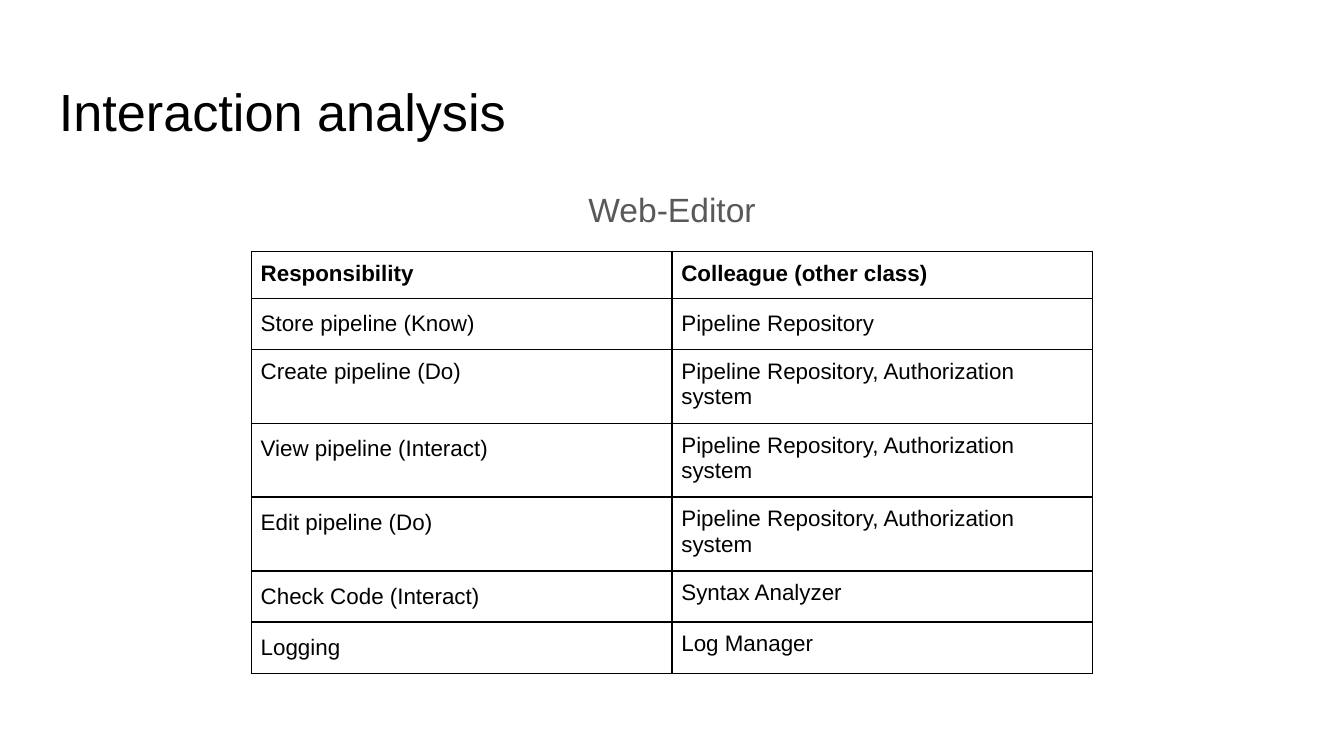
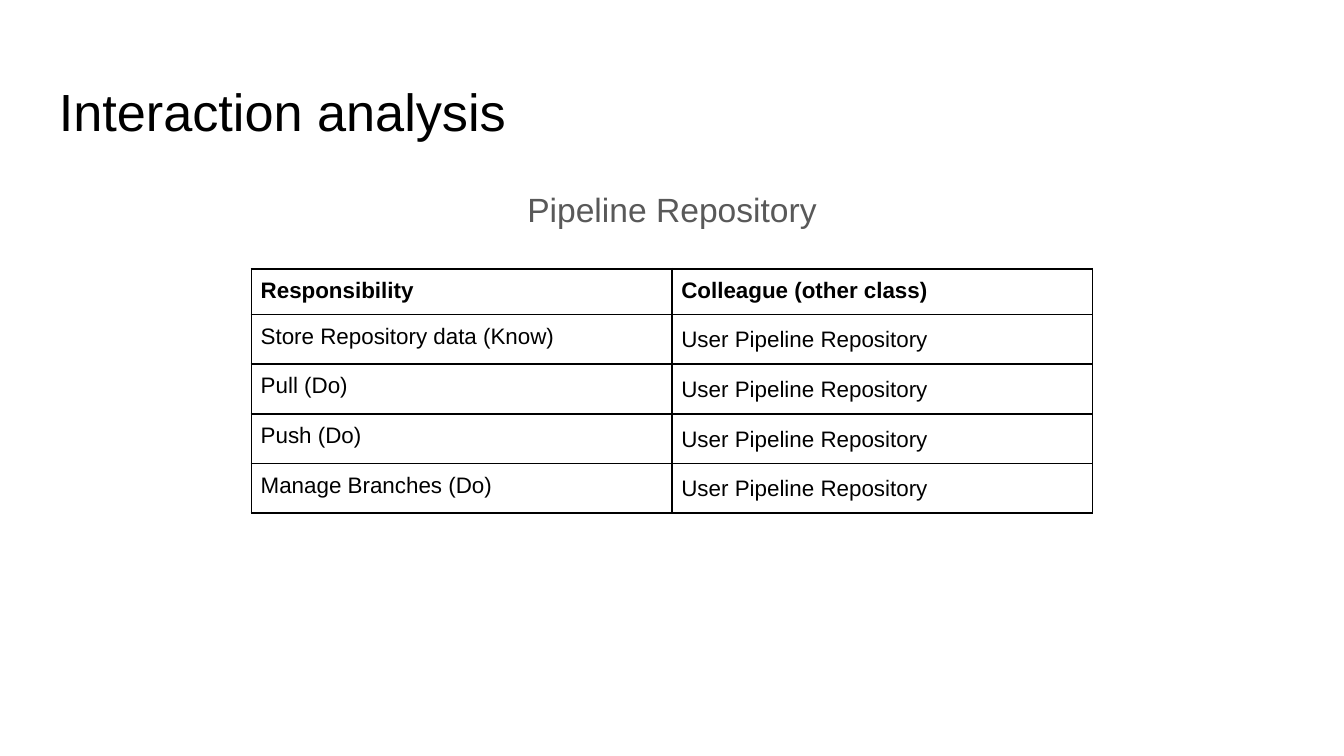
from dataclasses import dataclass

import pptx
import pptx.dml.color
import pptx.enum.text
import pptx.oxml
import pptx.oxml.ns
import pptx.util

Inches = pptx.util.Inches
Pt = pptx.util.Pt
ALIGN = pptx.enum.text.PP_ALIGN

# Shared look
FONT = "Arial"
BLACK, GREY = "000000", "595959"
TITLE = "Interaction analysis"
HEADER = ("Responsibility", "Colleague (other class)")
MARGIN, TEXT_W = 0.34, 9.32
TABLE_LEFT, COL_W, FRAME = 1.87, 3.13, 3.28
TEXT_PAD, CELL_PAD = 0.1, 0.07
SINGLE, LOOSE = 1.0, 1.15
FIT = 0.01  # rows this low grow to fit their text


@dataclass(frozen=True)
class TextStyle:
    size: float
    color: str = BLACK
    bold: bool = False
    align: ALIGN = ALIGN.LEFT


@dataclass(frozen=True)
class Row:
    texts: tuple[str, str]
    height: float
    spacings: tuple[float, float]


@dataclass(frozen=True)
class ClassCard:
    name: str
    table_top: float
    header_height: float
    rows: tuple[Row, ...]
    name_space_after: float = 0


TITLE_STYLE = TextStyle(28)
SUBTITLE_STYLE = TextStyle(18, GREY, align=ALIGN.CENTER)
HEADER_STYLE = TextStyle(12, bold=True)
CELL_STYLE = TextStyle(12)

BOTH_SYSTEMS = "Pipeline Repository, Authorization system"
CARDS = (
    ClassCard("Web-Editor", 1.87, 0.35, (
        Row(("Store pipeline (Know)", "Pipeline Repository"), 0.38, (LOOSE, LOOSE)),
        Row(("Create pipeline (Do)", BOTH_SYSTEMS), 0.55, (SINGLE, SINGLE)),
        Row(("View pipeline (Interact)", BOTH_SYSTEMS), 0.55, (LOOSE, SINGLE)),
        Row(("Edit pipeline (Do)", BOTH_SYSTEMS), 0.55, (LOOSE, SINGLE)),
        Row(("Check Code (Interact)", "Syntax Analyzer"), 0.38, (LOOSE, SINGLE)),
        Row(("Logging", "Log Manager"), 0.38, (LOOSE, SINGLE)),
    )),
    ClassCard("Pipeline Repository", 2.0, FIT, tuple(
        Row((duty, "User Pipeline Repository"), FIT, (SINGLE, LOOSE))
        for duty in ("Store Repository data (Know)", "Pull (Do)",
                     "Push (Do)", "Manage Branches (Do)")
    ), name_space_after=12),
)


def rgb(color: str) -> pptx.dml.color.RGBColor:
    return pptx.dml.color.RGBColor.from_string(color)


def set_margins(target, pad: float) -> None:
    for side in ("left", "top", "right", "bottom"):
        setattr(target, f"margin_{side}", Inches(pad))


def write(tf, text: str, style: TextStyle, spacing: float = SINGLE,
          space_after: float = 0) -> None:
    p = tf.paragraphs[0]
    layout = {"alignment": style.align, "line_spacing": spacing,
              "space_after": Pt(space_after)}
    for key, value in layout.items():
        setattr(p, key, value)
    r = p.add_run()
    r.text = text
    formats = {"name": FONT, "size": Pt(style.size), "bold": style.bold}
    for key, value in formats.items():
        setattr(r.font, key, value)
    r.font.color.rgb = rgb(style.color)


def add_text(slide, top: float, height: float, text: str, style: TextStyle,
             spacing: float = SINGLE, space_after: float = 0) -> None:
    sp = slide.shapes.add_textbox(Inches(MARGIN), Inches(top),
                                  Inches(TEXT_W), Inches(height))
    tf = sp.text_frame
    tf.word_wrap = True
    set_margins(tf, TEXT_PAD)
    write(tf, text, style, spacing, space_after)


def add_borders(cell, color: str = BLACK, width: float = 1) -> None:
    # Border lines come before the fill in the cell properties
    tc_pr = cell._tc.get_or_add_tcPr()
    for i, side in enumerate("LRTB"):
        tc_pr.insert(i, pptx.oxml.parse_xml(
            f'<a:ln{side} {pptx.oxml.ns.nsdecls("a")} w="{Pt(width)}">'
            f'<a:solidFill><a:srgbClr val="{color}"/></a:solidFill>'
            f'</a:ln{side}>'))


def add_card_table(slide, card: ClassCard) -> None:
    rows = (Row(HEADER, card.header_height, (SINGLE, SINGLE)), *card.rows)
    sp = slide.shapes.add_table(
        len(rows), len(HEADER), Inches(TABLE_LEFT), Inches(card.table_top),
        Inches(FRAME), Inches(FRAME))
    table = sp.table
    table.first_row = table.horz_banding = False
    for column in table.columns:
        column.width = Inches(COL_W)
    for i, row in enumerate(rows):
        table.rows[i].height = Inches(row.height)
        style = CELL_STYLE if i else HEADER_STYLE
        for j, (text, spacing) in enumerate(zip(row.texts, row.spacings)):
            cell = table.cell(i, j)
            set_margins(cell, CELL_PAD)
            cell.fill.background()
            add_borders(cell)
            write(cell.text_frame, text, style, spacing)
    # Sizing rows and columns resizes the frame, so it is set last
    sp.width = sp.height = Inches(FRAME)


def add_card_slide(prs, card: ClassCard) -> None:
    slide = prs.slides.add_slide(prs.slide_layouts[6])
    add_text(slide, 0.49, 0.63, TITLE, TITLE_STYLE)
    add_text(slide, 1.26, 0.5, card.name, SUBTITLE_STYLE, LOOSE,
             card.name_space_after)
    add_card_table(slide, card)


def main() -> None:
    prs = pptx.Presentation()
    # Widescreen, 16 to 9
    prs.slide_width = Inches(10)
    prs.slide_height = prs.slide_width * 9 // 16
    for card in CARDS:
        add_card_slide(prs, card)
    prs.save("out.pptx")


if __name__ == "__main__":
    main()
